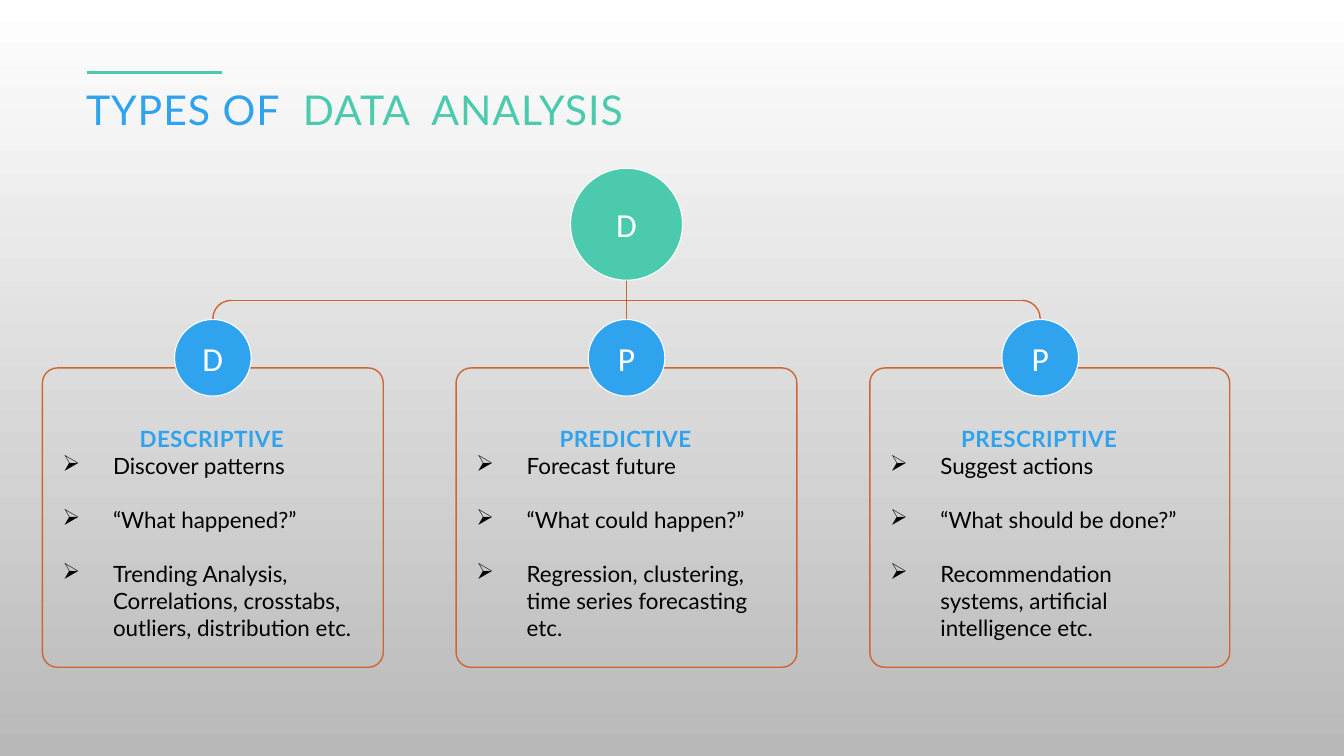
from dataclasses import dataclass
from lxml.etree import SubElement as Sub
from pptx import Presentation
from pptx.dml.color import RGBColor as Rgb
from pptx.enum.shapes import MSO_CONNECTOR as Conn, MSO_SHAPE as Kind
from pptx.enum.text import MSO_ANCHOR as Anchor, PP_ALIGN as Align
from pptx.oxml.ns import qn
from pptx.util import Inches, Pt


@dataclass(frozen=True)
class Theme:
    blue: str = "2FA3EE"
    teal: str = "4BCAAD"
    rust: str = "CE6633"
    white: str = "FFFFFF"
    grey: str = "B9B9B9"
    black: str = "000000"
    text: str = "Lato"
    mark: str = "Calibri"
    title: float = 29.3
    letter: float = 24
    body: float = 16


T = Theme()
TITLE = [("TYPES OF ", T.blue), (" DATA  ANALYSIS", T.teal)]
ROOT = "D"
CARDS = [
    ("D", "DESCRIPTIVE", 25.36, 23.78, [
        "Discover patterns",
        "“What happened?”",
        "Trending Analysis, Correlations, crosstabs, outliers, distribution etc."]),
    ("P", "PREDICTIVE", 25.36, 22.2, [
        "Forecast future",
        "“What could happen?”",
        "Regression, clustering, time series forecasting etc."]),
    ("P", "PRESCRIPTIVE", 26.78, 22.2, [
        "Suggest actions",
        "“What should be done?”",
        "Recommendation systems, artificial intelligence etc."]),
]
FIRST, STEP = 15.84, 30.78
BIG, SMALL, BEND = 8.33, 5.7, 2.7
ROOT_Y, BAR_Y, NODE_Y = 29.67, 39.73, 47.33
CARD_Y, CARD_H, CARD_IN = 48.67, 39.6, 12.68
HEAD_Y, HEAD_H, HEAD_W = 55.6, 4.27, 22.2
LIST_Y, LIST_H, TEXT_IN = 59.87, 28.27, 11.18

deck = Presentation()
deck.slide_width, deck.slide_height = Inches(13.33), Inches(7.5)
slide = deck.slides.add_slide(deck.slide_layouts[6])
shapes = slide.shapes


def wide(share):
    return round(deck.slide_width * share / 100)


def high(share):
    return round(deck.slide_height * share / 100)


def line(x1, y1, x2, y2, color=T.rust, width=1):
    rule = shapes.add_connector(Conn.STRAIGHT, x1, y1, x2, y2)
    rule.line.color.rgb = Rgb.from_string(color)
    rule.line.width = Pt(width)
    Sub(rule._element.spPr, qn("a:effectLst"))


def shape(kind, x, y, w, h, edge=T.rust, width=1, fill=None):
    item = shapes.add_shape(kind, x, y, w, h)
    item.shadow.inherit = False
    item.line.color.rgb = Rgb.from_string(edge)
    item.line.width = Pt(width)
    if fill:
        item.fill.solid()
        item.fill.fore_color.rgb = Rgb.from_string(fill)
    else:
        item.fill.background()
    return item


def clear(item):
    frame = item.text_frame
    frame.word_wrap = True
    frame.margin_left = frame.margin_right = 0
    frame.margin_top = frame.margin_bottom = 0
    return frame


def box(x, y, w, h):
    return clear(shapes.add_textbox(wide(x), high(y), wide(w), high(h)))


def write(para, text, size, color, face=T.text, bold=False, track=0):
    run = para.add_run()
    run.text = text
    font = run.font
    font.size, font.name, font.bold = Pt(size), face, bold
    font.color.rgb = Rgb.from_string(color)
    if track:
        run._r.get_or_add_rPr().set("spc", str(track))


def node(mid, y, size, letter, fill):
    side = wide(size)
    disc = shape(Kind.OVAL, wide(mid) - side // 2, high(y) - side // 2,
                 side, side, T.white, 0.75, fill)
    frame = clear(disc)
    frame.vertical_anchor = Anchor.MIDDLE
    para = frame.paragraphs[0]
    para.alignment = Align.CENTER
    write(para, letter, T.letter, T.white, T.mark)


def bullet(para):
    props = para._p.get_or_add_pPr()
    props.set("marL", str(Inches(0.5)))
    props.set("indent", str(-Inches(0.5)))
    Sub(props, qn("a:buChar")).set("char", "➢")


def card(mid, letter, name, width, span, points):
    panel = shape(Kind.ROUNDED_RECTANGLE, wide(mid - CARD_IN), high(CARD_Y),
                  wide(width), high(CARD_H))
    panel.adjustments[0] = 0.05
    node(mid, NODE_Y, SMALL, letter, T.blue)
    para = box(mid - TEXT_IN, HEAD_Y, HEAD_W, HEAD_H).paragraphs[0]
    para.alignment = Align.CENTER
    para.line_spacing = Pt(22.7)
    write(para, name, T.body, T.blue, bold=True, track=30)
    frame = box(mid - TEXT_IN, LIST_Y, span, LIST_H)
    for i, point in enumerate(points):
        para = frame.paragraphs[0]
        if i:
            para = frame.add_paragraph()
            para.space_before = Pt(19.3)
        bullet(para)
        write(para, point, T.body, T.black)


def tree(mids):
    left, core, right = map(wide, mids)
    bar, bend = high(BAR_Y), wide(BEND)
    half = bend // 2
    foot = high(NODE_Y) - wide(SMALL) // 2
    line(left + half, bar, right - half, bar)
    line(core, high(ROOT_Y), core, foot)
    for end, start, turn in ((left, left, 270), (right, right - bend, 0)):
        shape(Kind.ARC, start, bar, bend, bend).rotation = turn
        line(end, bar + half, end, foot + Inches(0.06))


def main():
    fill = slide.background.fill
    fill.gradient()
    fill.gradient_angle = 270
    for stop, color in zip(fill.gradient_stops, (T.white, T.grey)):
        stop.color.rgb = Rgb.from_string(color)
    line(wide(6.5), high(9.55), wide(16.5), high(9.55), T.teal, 2.25)
    para = box(6.4, 11.2, 87, 7.5).paragraphs[0]
    for text, color in TITLE:
        write(para, text, T.title, color, track=70)
    mids = [FIRST + STEP * i for i in range(len(CARDS))]
    tree(mids)
    node(mids[1], ROOT_Y, BIG, ROOT, T.teal)
    for mid, info in zip(mids, CARDS):
        card(mid, *info)
    deck.save("out.pptx")


if __name__ == "__main__":
    main()
